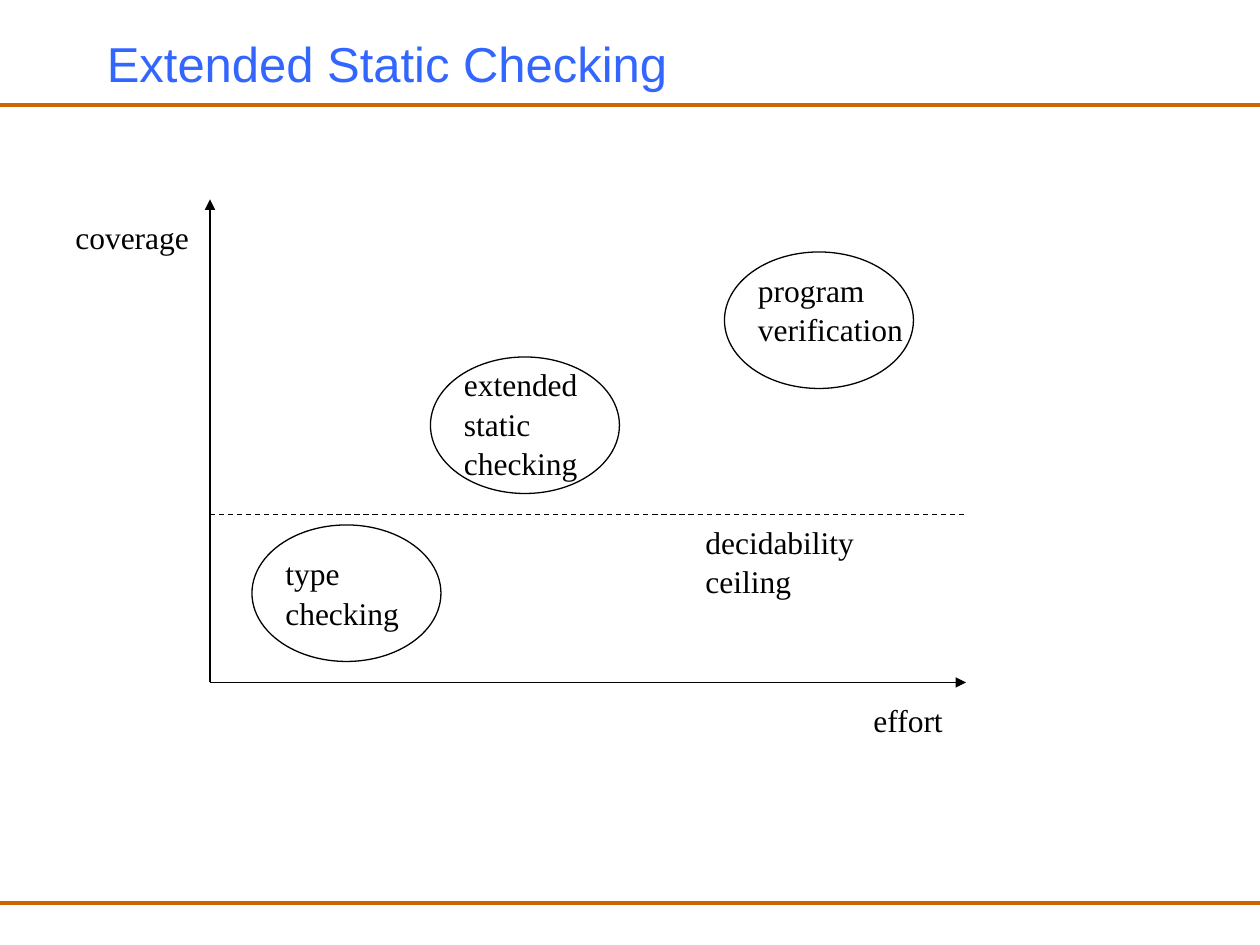
import dataclasses

import lxml.etree
import pptx
import pptx.dml.color
import pptx.enum.dml
import pptx.enum.shapes
import pptx.enum.text
import pptx.oxml.ns
import pptx.util
from pptx.util import Pt


@dataclasses.dataclass(frozen=True)
class Theme:
    """Colours, fonts and sizes of the slide."""
    title_color: str = "3366FF"
    rule_color: str = "CC6600"
    ink: str = "000000"
    title_font: str = "Arial"
    label_font: str = "Times New Roman"
    title_size: float = 28
    label_size: float = 18
    label_spacing: float = 1.05
    rule_width: float = 2
    line_width: float = 0.75


THEME = Theme()


def rgb(color):
    """Turn a hex string into a colour."""
    return pptx.dml.color.RGBColor.from_string(color)


def add_line(page, start, end, color=THEME.ink, width=THEME.line_width, dashed=False, arrow=False):
    """Draw a straight line, dashed or with an arrowhead at its end if asked."""
    line = page.shapes.add_connector(
        pptx.enum.shapes.MSO_CONNECTOR.STRAIGHT, *(Pt(value) for value in (*start, *end)))
    line.line.color.rgb = rgb(color)
    line.line.width = Pt(width)
    if dashed:
        line.line.dash_style = pptx.enum.dml.MSO_LINE.DASH
    if arrow:
        outline = line.line._get_or_add_ln()
        lxml.etree.SubElement(outline, pptx.oxml.ns.qn("a:tailEnd"), type="triangle")
    properties = line._element.spPr
    lxml.etree.SubElement(properties, pptx.oxml.ns.qn("a:effectLst"))


def add_text(page, text, left, top, width, height, wrap=False):
    """Add a text box in the label style."""
    box = page.shapes.add_textbox(Pt(left), Pt(top), Pt(width), Pt(height))
    frame = box.text_frame
    frame.word_wrap = wrap
    frame.text = text
    for para in frame.paragraphs:
        para.line_spacing = THEME.label_spacing
        for span in para.runs:
            span.font.name = THEME.label_font
            span.font.size = Pt(THEME.label_size)
            span.font.color.rgb = rgb(THEME.ink)
    return box


def add_title(page, text):
    """Add the slide title, centred vertically above the top rule."""
    frame = add_text(page, text, 54, 12, 612, 48, wrap=True).text_frame
    frame.vertical_anchor = pptx.enum.text.MSO_ANCHOR.MIDDLE
    para = frame.paragraphs[0]
    para.line_spacing = 1.0
    font = para.runs[0].font
    font.name = THEME.title_font
    font.size = Pt(THEME.title_size)
    font.color.rgb = rgb(THEME.title_color)


def add_ellipse(page, left, top):
    """Outline one technique's region of the chart."""
    ellipse = page.shapes.add_shape(
        pptx.enum.shapes.MSO_SHAPE.OVAL, Pt(left), Pt(top), Pt(108), Pt(78))
    ellipse.shadow.inherit = False
    ellipse.fill.background()
    ellipse.line.color.rgb = rgb(THEME.ink)
    ellipse.line.width = Pt(THEME.line_width)


def main():
    """Build and save the slide."""
    deck = pptx.Presentation()
    deck.slide_width, deck.slide_height = Pt(720), Pt(540)
    page = deck.slides.add_slide(deck.slide_layouts[6])

    for height in (60, 516):
        add_line(page, (0, height), (720, height), THEME.rule_color, THEME.rule_width)
    add_title(page, "Extended Static Checking")

    origin = (120, 390)
    add_line(page, origin, (120, 114), arrow=True)
    add_line(page, origin, (552, 390), arrow=True)
    add_line(page, (120, 294), (552, 294), dashed=True)

    add_text(page, "decidability ceiling", 396, 294, 152.6, 28.8)
    add_text(page, "type\nchecking", 156, 312, 102, 50.4, wrap=True)
    add_text(page, "extended\nstatic\nchecking", 258, 204, 79.2, 72)
    add_text(page, "program\nverification", 426, 150, 97.2, 50.4)
    for left, top in ((246, 204), (414, 144), (144, 300)):
        add_ellipse(page, left, top)
    add_text(page, "effort", 492, 396, 54, 28.8)
    add_text(page, "coverage", 36, 120, 79.2, 28.8)

    deck.save("out.pptx")


if __name__ == "__main__":
    main()
